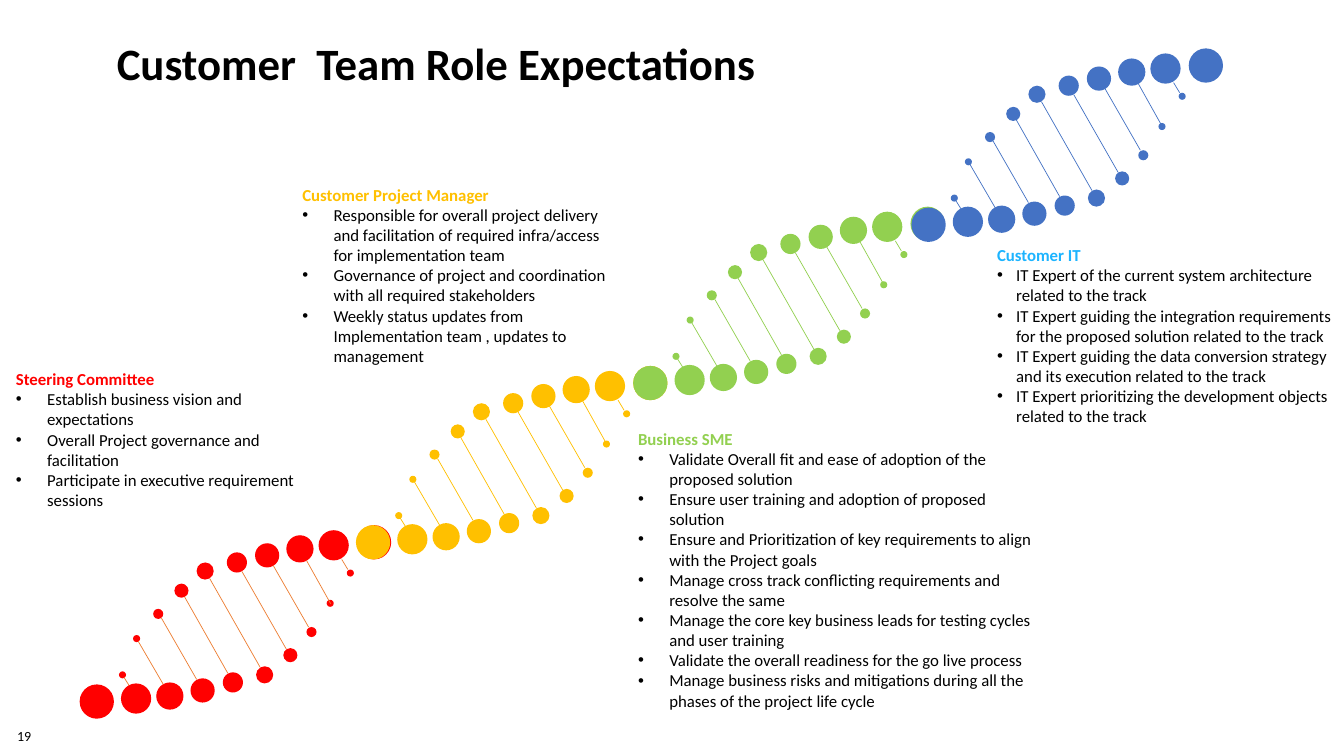
from lxml import etree
from pptx import Presentation
from pptx import util as u
from pptx.dml.color import RGBColor
from pptx.enum import shapes, text
from pptx.oxml import ns

PX = 9144
FONT = "Calibri"
HEX = {
    "black": "000000",
    "red": "FF0000",
    "rust": "ED7D31",
    "gold": "FFC000",
    "green": "92D050",
    "blue": "4472C4",
    "sky": "1CB4FF",
}

STRANDS = [
    (79, 679, "red", "rust"),
    (353, 521, "gold", "gold"),
    (628, 363, "green", "green"),
    (904, 206, "blue", "blue"),
]
BEADS = [
    (0, 0, 34), (41, -1, 30), (76, -2, 27), (110, -6, 24), (142, -12, 20),
    (175, -18, 17), (94, -100, 14), (116, -121, 17), (73, -75, 10),
    (53, -49, 7), (39, -13, 7),
    (275, -158, 34), (237, -153, 30), (205, -148, 27), (174, -140, 24),
    (146, -131, 20), (202, -36, 14), (225, -57, 10), (245, -84, 7),
    (265, -114, 7),
]
RUNGS = [
    (49, 1, 44, -7), (83, 0, 58, -43), (116, -5, 81, -66),
    (147, -11, 104, -87), (179, -17, 129, -105),
    (260, -124, 266, -114), (225, -123, 249, -80),
    (192, -118, 227, -57), (161, -112, 205, -35),
]
ROLES = [
    ((6, 361, 322, 151), "Steering Committee", "red", 31, [
        "Establish business vision and expectations",
        "Overall Project governance and facilitation",
        "Participate in executive requirement sessions",
    ]),
    ((290, 178, 322, 192), "Customer Project Manager", "gold", 31, [
        "Responsible for overall project delivery and facilitation of "
        "required infra/access for implementation team",
        "Governance of project and coordination with all required stakeholders",
        "Weekly status updates from Implementation team , updates to management",
    ]),
    ((623, 420, 423, 293), "Business SME", "green", 31, [
        "Validate Overall fit and ease of adoption of the proposed solution",
        "Ensure user training and adoption of proposed solution",
        "Ensure and Prioritization of key requirements to align with the Project goals",
        "Manage cross track conflicting requirements and resolve the same",
        "Manage the core key business leads for testing cycles and user training",
        "Validate the overall readiness for the go live process",
        "Manage business risks and mitigations during all the phases of the "
        "project life cycle",
    ]),
    ((979, 238, 352, 192), "Customer IT", "sky", 19, [
        "IT Expert of the current system architecture related to the track",
        "IT Expert guiding the integration requirements for the proposed "
        "solution related to the track",
        "IT Expert guiding the data conversion strategy and its execution "
        "related to the track",
        "IT Expert prioritizing the development objects related to the track",
    ]),
]


def px(*nums):
    return [u.Emu(n * PX) for n in nums]


def tint(name):
    return RGBColor.from_string(HEX[name])


def add_box(slide, place):
    frame = slide.shapes.add_textbox(*px(*place)).text_frame
    frame.word_wrap = True
    return frame


def add_run(para, words, size, hue="black", bold=False):
    run = para.add_run()
    run.text = words
    run.font.name = FONT
    run.font.size = u.Pt(size)
    run.font.bold = bold
    run.font.color.rgb = tint(hue)


def add_dot(para, indent):
    props = para._p.get_or_add_pPr()
    props.set("marL", str(indent * PX))
    props.set("indent", str(-indent * PX))
    etree.SubElement(props, ns.qn("a:buFont")).set("typeface", "Arial")
    etree.SubElement(props, ns.qn("a:buChar")).set("char", "•")


def add_role(slide, place, head, hue, indent, tasks):
    frame = add_box(slide, place)
    frame.auto_size = text.MSO_AUTO_SIZE.SHAPE_TO_FIT_TEXT
    add_run(frame.paragraphs[0], head, 12, hue, True)
    for task in tasks:
        para = frame.add_paragraph()
        add_dot(para, indent)
        add_run(para, task, 12)


def add_bead(slide, left, top, size, hue):
    bead = slide.shapes.add_shape(
        shapes.MSO_SHAPE.OVAL, *px(left, top, size, size))
    bead.rotation = 330.2
    bead.shadow.inherit = False
    bead.fill.solid()
    bead.fill.fore_color.rgb = tint(hue)
    bead.line.fill.background()


def add_rung(slide, ends, hue):
    rung = slide.shapes.add_connector(shapes.MSO_CONNECTOR.STRAIGHT, *px(*ends))
    rung.line.color.rgb = tint(hue)
    rung.line.width = u.Pt(0.5)
    etree.SubElement(rung._element.spPr, ns.qn("a:effectLst"))


def add_strand(slide, left, top, hue, rung_hue):
    for x, y, size in BEADS:
        add_bead(slide, left + x, top + y, size, hue)
    for x1, y1, x2, y2 in RUNGS:
        add_rung(slide, (left + x1, top + y1, left + x2, top + y2), rung_hue)


def add_title(slide):
    frame = add_box(slide, (106, 19, 1119, 92))
    frame.vertical_anchor = text.MSO_ANCHOR.MIDDLE
    para = frame.paragraphs[0]
    para.line_spacing = 0.9
    add_run(para, "Customer  Team Role Expectations", 32, bold=True)


def add_page(slide):
    frame = add_box(slide, (0, 710, 48, 40))
    frame.vertical_anchor = text.MSO_ANCHOR.MIDDLE
    para = frame.paragraphs[0]
    para.alignment = text.PP_ALIGN.CENTER
    add_run(para, "19", 10)


def main():
    deck = Presentation()
    deck.slide_width, deck.slide_height = px(1333, 750)
    slide = deck.slides.add_slide(deck.slide_layouts[6])
    add_title(slide)
    add_page(slide)
    for role in ROLES:
        add_role(slide, *role)
    for strand in STRANDS:
        add_strand(slide, *strand)
    deck.save("out.pptx")


if __name__ == "__main__":
    main()
